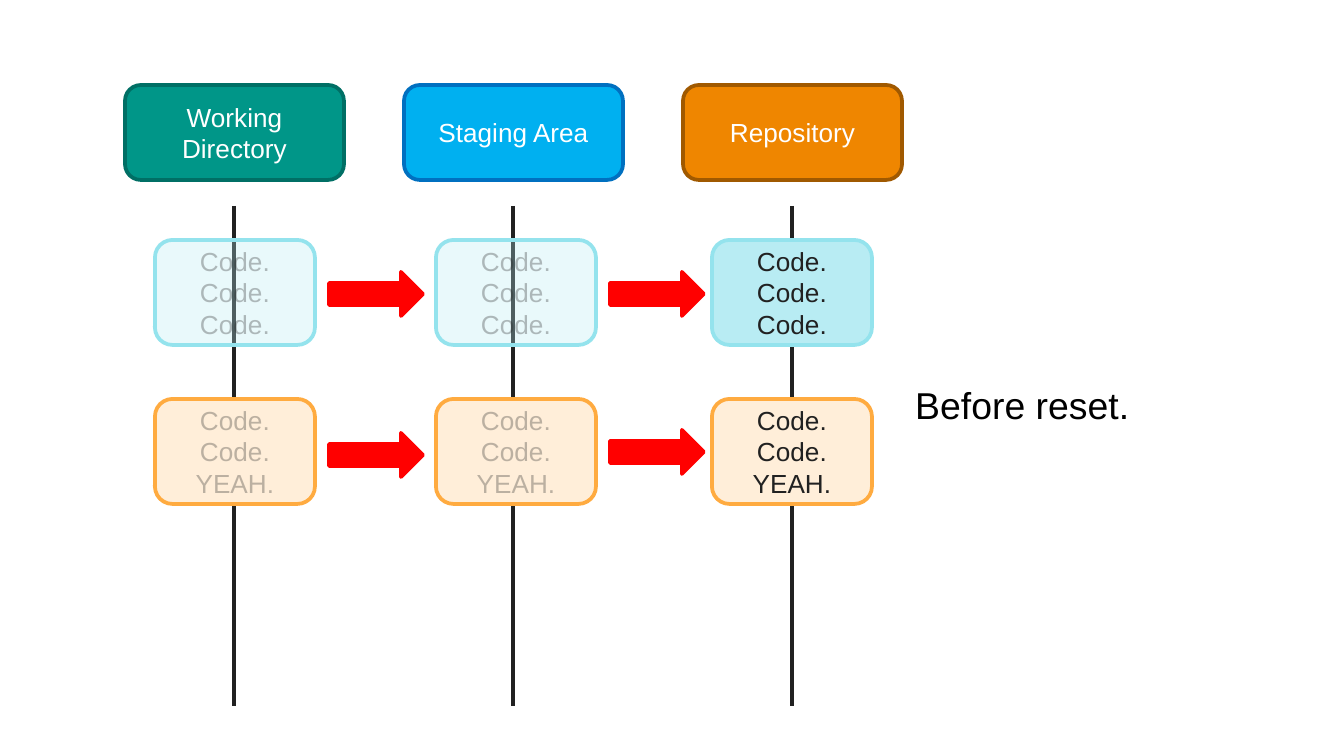
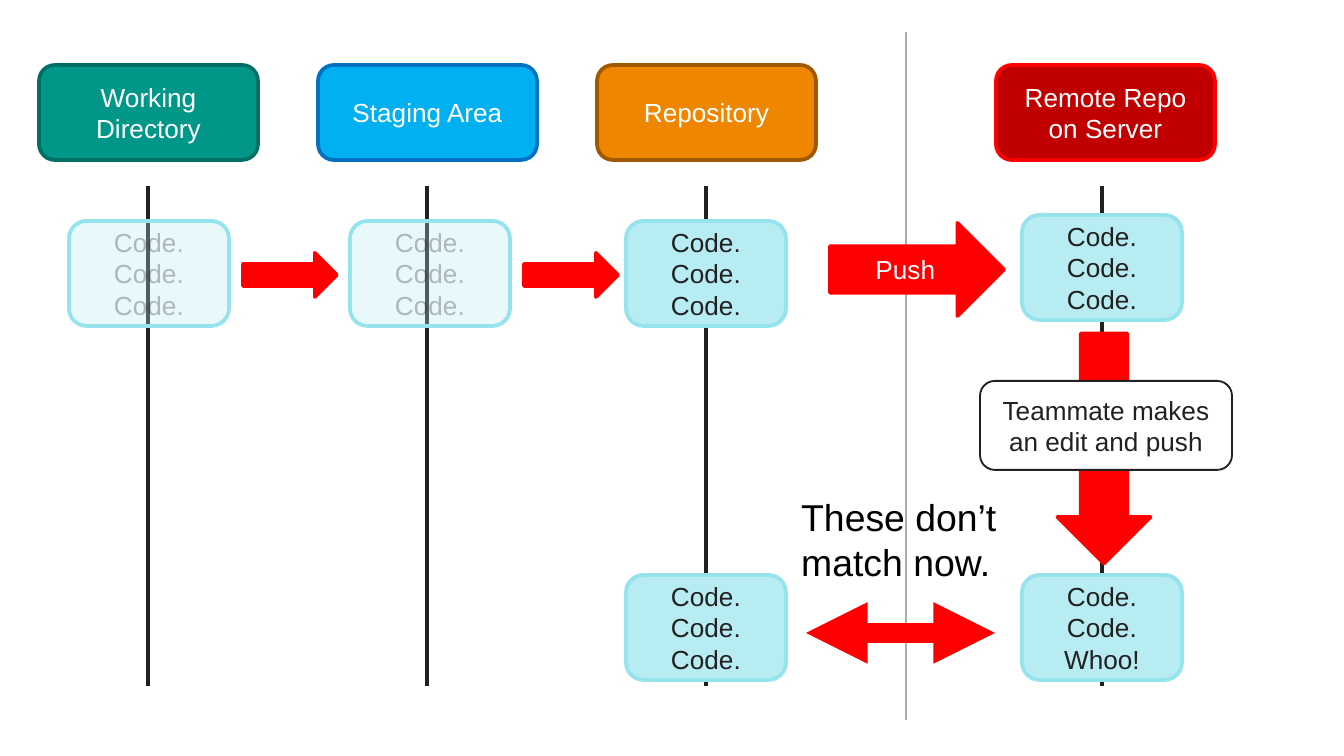
from dataclasses import dataclass

from lxml.etree import SubElement as Sub
from pptx import Presentation
from pptx.dml.color import RGBColor as Rgb
from pptx.enum.shapes import MSO_CONNECTOR as Link, MSO_SHAPE as Form
from pptx.enum.text import MSO_ANCHOR as Anchor, MSO_AUTO_SIZE as Auto, PP_ALIGN as Align
from pptx.oxml.ns import qn
from pptx.util import Pt


@dataclass(frozen=True)
class Theme:
    font: str = "Arial"
    body: int = 14
    note: int = 20
    edge: int = 2
    ink: str = "212121"
    black: str = "000000"
    white: str = "FFFFFF"
    red: str = "FF0000"
    gray: str = "ADADAD"
    teal: tuple = ("009688", "006F65")
    blue: tuple = ("00B0F0", "0070C0")
    amber: tuple = ("EF8600", "A05900")
    brick: tuple = ("C00000", "FF0000")
    aqua: tuple = ("B8ECF3", "94E3ED")
    peach: tuple = ("FFEED9", "FFAB40")


T = Theme()
SCALE = 914400 / 134.4
FAINT = 30
LANES = (
    ("Working Directory", T.teal),
    ("Staging Area", T.blue),
    ("Repository", T.amber),
)
PITCH = 279
CARDS = (30, 311, 587)
JUMP = 174
CODE = "Code. Code. Code."
YEAH = "Code. Code. YEAH."
WHOO = "Code. Code. Whoo!"


def emu(*px):
    return [round(n * SCALE) for n in px]


def fit(item, vals):
    for key, val in vals.items():
        setattr(item, key, val)


def paint(fill, tone, alpha=100):
    fill.solid()
    fill.fore_color.rgb = Rgb.from_string(tone)
    if alpha < 100:
        color = fill._xPr.find(".//" + qn("a:srgbClr"))
        Sub(color, qn("a:alpha"), val=str(alpha * 1000))


def write(shape, text, tone, size, alpha=100, align=Align.CENTER, **frame):
    fit(shape.text_frame, {"word_wrap": True, **frame})
    para = shape.text_frame.paragraphs[0]
    para.alignment = align
    run = para.add_run()
    run.text = text
    fit(run.font, {"name": T.font, "size": Pt(size)})
    paint(run.font.fill, tone, alpha)


def block(slide, form, box, pair, text="", tone=T.white, alpha=100, fade=100, edge=T.edge):
    shape = slide.shapes.add_shape(form, *emu(*box))
    shape.shadow.inherit = False
    paint(shape.fill, pair[0], alpha)
    paint(shape.line.fill, pair[1])
    shape.line.width = Pt(edge)
    if text:
        write(shape, text, tone, T.body, fade, vertical_anchor=Anchor.MIDDLE)
    return shape


def rule(slide, ends, tone, width, heads=()):
    line = slide.shapes.add_connector(Link.STRAIGHT, *emu(*ends))
    paint(line.line.fill, tone)
    line.line.width = Pt(width)
    for head in heads:
        Sub(line.line._ln, qn(head), type="triangle")
    Sub(line._element.spPr, qn("a:effectLst"))


def lane(slide, x, y, name, pair, mid=109):
    rule(slide, (x + mid, y + 121, x + mid, y + 621), T.ink, 1.75)
    block(slide, Form.ROUNDED_RECTANGLE, (x, y, 219, 95), pair, name)


def lanes(slide, x, y):
    for col, (name, pair) in enumerate(LANES):
        lane(slide, x + col * PITCH, y, name, pair)


def card(slide, x, y, text, pair=T.aqua, alpha=100, fade=100):
    block(slide, Form.ROUNDED_RECTANGLE, (x, y, 160, 105), pair, text, T.ink, alpha, fade)


def arrow(slide, box, text=""):
    return block(slide, Form.RIGHT_ARROW, box, (T.red, T.red), text)


def flow(slide, x, y, text, pair=T.aqua, alpha=FAINT, drops=(32, 32)):
    *past, last = CARDS
    for dx, drop in zip(past, drops):
        card(slide, x + dx, y, text, pair, alpha, FAINT)
        arrow(slide, (x + dx + JUMP, y + drop, 94, 44))
    card(slide, x + last, y, text, pair)


def label(slide, box, text):
    area = slide.shapes.add_textbox(*emu(*box))
    write(area, text, T.black, T.note, align=Align.LEFT, auto_size=Auto.SHAPE_TO_FIT_TEXT)


def reset(slide):
    left = 125
    lanes(slide, left, 85)
    label(slide, (902, 376, 448, 59), "Before reset.")
    flow(slide, left, 240, CODE)
    flow(slide, left, 399, YEAH, T.peach, 100, (34, 31))


def push(slide):
    left, far, low = 39, 1022, 575
    lanes(slide, left, 65)
    flow(slide, left, 221, CODE)
    lane(slide, 996, 65, "Remote Repo on Server", T.brick, 106)
    card(slide, far, 215, CODE)
    rule(slide, (906, 32, 906, 720), T.gray, 0.75)
    arrow(slide, (830, 223, 174, 93), "Push")
    arrow(slide, (989, 402, 230, 93)).rotation = 90
    block(slide, Form.ROUNDED_RECTANGLE, (980, 381, 252, 89), (T.white, T.ink),
          "Teammate makes an edit and push", T.ink, edge=1)
    card(slide, far, low, WHOO)
    rule(slide, (806, 633, 995, 633), T.red, 11, ("a:headEnd", "a:tailEnd"))
    card(slide, left + CARDS[-1], low, CODE)
    label(slide, (788, 488, 238, 103), "These don’t match now.")


def main():
    deck = Presentation()
    wide, high = emu(1344, 756)
    fit(deck, {"slide_width": wide, "slide_height": high})
    for draw in (reset, push):
        draw(deck.slides.add_slide(deck.slide_layouts[6]))
    deck.save("out.pptx")


if __name__ == "__main__":
    main()
